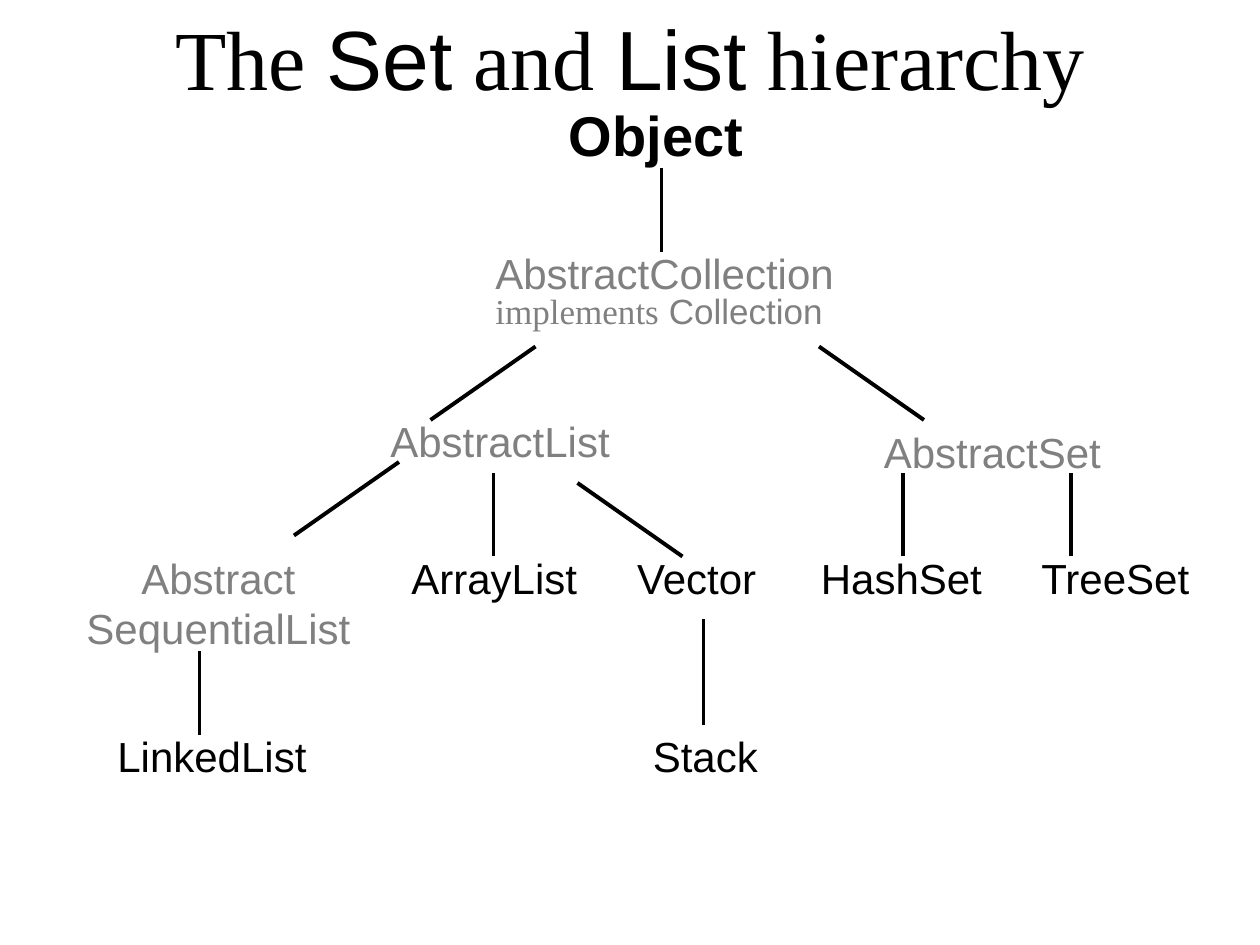
from lxml import etree
from pptx import Presentation
from pptx.dml.color import RGBColor
from pptx.enum.shapes import MSO_CONNECTOR
from pptx.enum.text import MSO_AUTO_SIZE, PP_ALIGN
from pptx.oxml.ns import qn
from pptx.util import Inches, Pt

STRAIGHT = MSO_CONNECTOR.STRAIGHT
FIT_SHAPE = MSO_AUTO_SIZE.SHAPE_TO_FIT_TEXT
LEFT, CENTER = PP_ALIGN.LEFT, PP_ALIGN.CENTER
SANS, SERIF = "Arial", "Times New Roman"
COLORS = {"concrete": "000000", "abstract": "808080", "line": "000000"}

presentation = Presentation()
presentation.slide_width = Inches(10)
presentation.slide_height = Inches(7.5)
slide = presentation.slides.add_slide(presentation.slide_layouts[6])

# The slide is a grid of 120 columns by 90 rows of square cells.
CELL = presentation.slide_width / 120


def cells(*counts):
    return [round(count * CELL) for count in counts]


def add_text(paragraphs, box, size=24, color="concrete", bold=False,
             align=LEFT, wrap=False):
    """Each paragraph is a list of (text, font name) pairs; box is in cells."""
    shape = slide.shapes.add_textbox(*cells(*box))
    frame = shape.text_frame
    frame.word_wrap = wrap
    frame.auto_size = FIT_SHAPE
    for index, pieces in enumerate(paragraphs):
        paragraph = frame.add_paragraph() if index else frame.paragraphs[0]
        paragraph.alignment = align
        for text, font_name in pieces:
            run = paragraph.add_run()
            run.text = text
            run.font.name = font_name
            run.font.size = Pt(size)
            run.font.bold = bold
            run.font.color.rgb = RGBColor.from_string(COLORS[color])


title = [("The ", SERIF), ("Set", SANS), (" and ", SERIF), ("List", SANS),
         (" hierarchy", SERIF)]
add_text([title], (0, 0, 120, 10.8), size=48, align=CENTER, wrap=True)
add_text([[("Object", SANS)]], (53, 9, 19, 7.7), size=32, bold=True)

# Class name, colour, left column, top row, width in columns
classes = [
    ("AbstractCollection", "abstract", 46, 23, 34.8),
    ("AbstractList", "abstract", 36, 39, 23.5),
    ("AbstractSet", "abstract", 83, 40, 23.3),
    ("ArrayList", "concrete", 38, 52, 18.4),
    ("Vector", "concrete", 59.5, 52, 14),
    ("HashSet", "concrete", 77, 52, 17.8),
    ("TreeSet", "concrete", 98, 52, 16.7),
    ("LinkedList", "concrete", 10, 69, 20.6),
    ("Stack", "concrete", 61, 69, 12.5),
]
for name, color, left, top, width in classes:
    add_text([[(name, SANS)]], (left, top, width, 6), color=color)

add_text([[("Abstract", SANS)], [("SequentialList", SANS)]],
         (7, 52, 27.6, 10.8), color="abstract", align=CENTER)
add_text([[("implements", SERIF), (" Collection", SANS)]],
         (46, 27, 33.7, 5.3), size=20, color="abstract")

# Child end (column, row), then parent end
branches = [
    (63, 24, 63, 16),  # AbstractCollection to Object
    (41, 40, 51, 33),  # AbstractList to AbstractCollection
    (88, 40, 78, 33),  # AbstractSet to AbstractCollection
    (28, 51, 38, 44),  # AbstractSequentialList to AbstractList
    (47, 53, 47, 45),  # ArrayList to AbstractList
    (65, 53, 55, 46),  # Vector to AbstractList
    (86, 53, 86, 45),  # HashSet to AbstractSet
    (102, 53, 102, 45),  # TreeSet to AbstractSet
    (19, 70, 19, 62),  # LinkedList to AbstractSequentialList
    (67, 69, 67, 59),  # Stack to Vector
]
for branch in branches:
    connector = slide.shapes.add_connector(STRAIGHT, *cells(*branch))
    connector.line.color.rgb = RGBColor.from_string(COLORS["line"])
    connector.line.width = Pt(2.25)
    etree.SubElement(connector._element.spPr, qn("a:effectLst"))

presentation.save("out.pptx")
